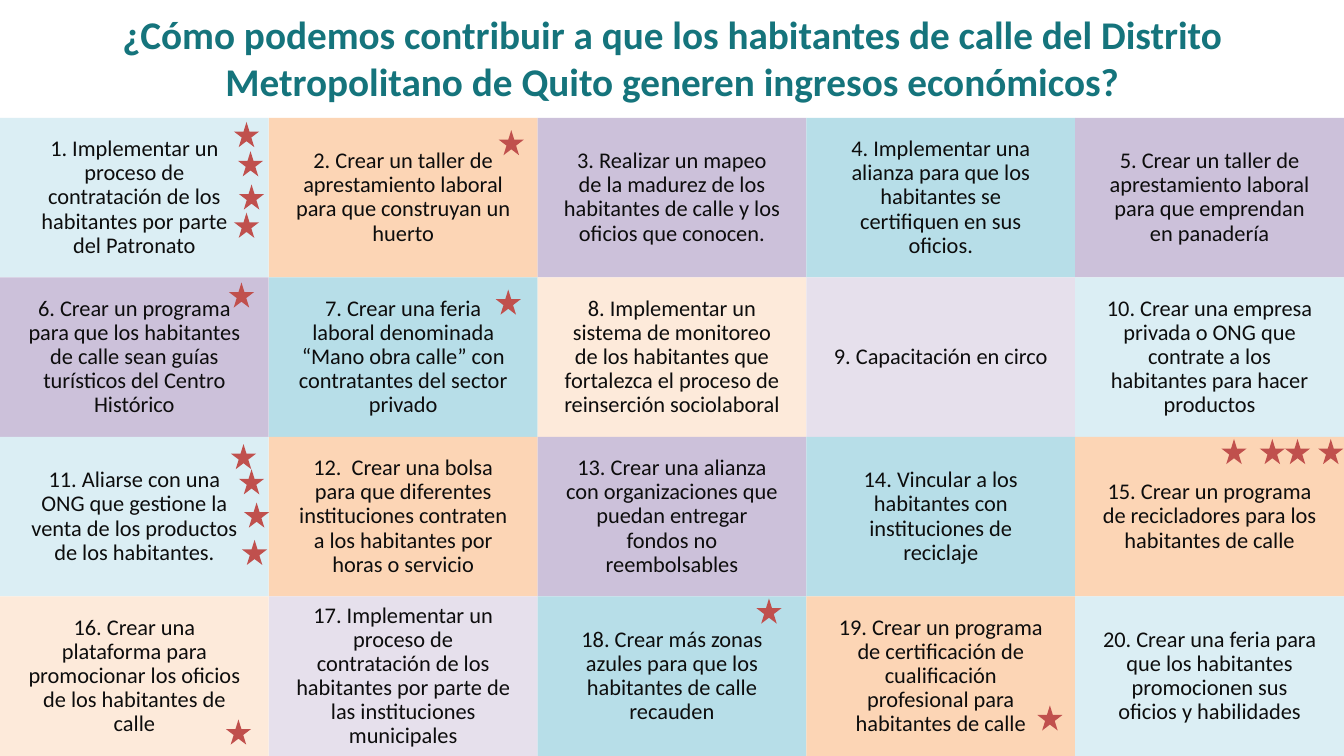
from pptx import Presentation
from pptx.dml.color import RGBColor
from pptx.enum import shapes, text
from pptx.util import Inches, Pt

TEAL = RGBColor(0x15, 0x74, 0x7C)
INK = RGBColor(0x0D, 0x0D, 0x0D)
RED = RGBColor(0xC0, 0x50, 0x4D)
ICE = RGBColor(0xDB, 0xEE, 0xF4)
BLUE = RGBColor(0xB7, 0xDE, 0xE8)
PEACH = RGBColor(0xFC, 0xD5, 0xB5)
CREAM = RGBColor(0xFD, 0xEA, 0xDA)
PURPLE = RGBColor(0xCC, 0xC1, 0xDA)
LILAC = RGBColor(0xE6, 0xE0, 0xEC)

FONT = "Calibri"
WIDTH, HEIGHT = 13.33, 7.5
GRID_TOP = 1.17
COLUMNS, ROWS = 5, 4
STAR_SIZE = 0.25

TITLE = ("¿Cómo podemos contribuir a que los habitantes de calle del Distrito "
         "Metropolitano de Quito generen ingresos económicos?")

# Ideas in reading order: colour and wording
IDEAS = [
    (ICE, "1. Implementar un proceso de contratación de los habitantes por parte del Patronato"),
    (PEACH, "2. Crear un taller de aprestamiento laboral para que construyan un huerto"),
    (PURPLE, "3. Realizar un mapeo de la madurez de los habitantes de calle y los oficios que conocen."),
    (BLUE, "4. Implementar una alianza para que los habitantes se certifiquen en sus oficios."),
    (PURPLE, "5. Crear un taller de aprestamiento laboral para que emprendan en panadería"),
    (PURPLE, "6. Crear un programa para que los habitantes de calle sean guías turísticos del Centro Histórico"),
    (BLUE, "7. Crear una feria laboral denominada “Mano obra calle” con contratantes del sector privado"),
    (CREAM, "8. Implementar un sistema de monitoreo de los habitantes que fortalezca el proceso de "
            "reinserción sociolaboral"),
    (LILAC, "9. Capacitación en circo"),
    (ICE, "10. Crear una empresa privada o ONG que contrate a los habitantes para hacer productos"),
    (ICE, "11. Aliarse con una ONG que gestione la venta de los productos de los habitantes."),
    (PEACH, "12.  Crear una bolsa para que diferentes instituciones contraten a los habitantes por "
            "horas o servicio"),
    (PURPLE, "13. Crear una alianza con organizaciones que puedan entregar fondos no reembolsables"),
    (BLUE, "14. Vincular a los habitantes con instituciones de reciclaje"),
    (PEACH, "15. Crear un programa de recicladores para los habitantes de calle"),
    (CREAM, "16. Crear una plataforma para promocionar los oficios de los habitantes de calle"),
    (LILAC, "17. Implementar un proceso de contratación de los habitantes por parte de las "
            "instituciones municipales"),
    (BLUE, "18. Crear más zonas azules para que los habitantes de calle recauden"),
    (PEACH, "19. Crear un programa de certificación de cualificación profesional para habitantes de calle"),
    (ICE, "20. Crear una feria para que los habitantes promocionen sus oficios y habilidades"),
]

# Votes: idea number -> star offsets from the corner of its cell
VOTES = {
    1: [(2.32, 0.04), (2.36, 0.33), (2.37, 0.66), (2.32, 0.94)],
    2: [(2.28, 0.12)],
    6: [(2.27, 0.05)],
    7: [(2.25, 0.12)],
    11: [(2.29, 0.07), (2.37, 0.32), (2.42, 0.65), (2.4, 1.02)],
    15: [(1.45, 0.02), (1.83, 0.02), (2.08, 0.02), (2.41, 0.02)],
    16: [(2.24, 1.22)],
    18: [(2.17, 0.02)],
    19: [(2.29, 1.08)],
}


def write_text(shape, wording, size, color, bold=False):
    frame = shape.text_frame
    frame.word_wrap = True
    frame.vertical_anchor = text.MSO_ANCHOR.MIDDLE
    frame.text = wording
    paragraph = frame.paragraphs[0]
    paragraph.alignment = text.PP_ALIGN.CENTER
    font = paragraph.runs[0].font
    font.name, font.size, font.bold = FONT, Pt(size), bold
    font.color.rgb = color
    return paragraph


def set_margins(frame, left, top, right, bottom):
    frame.margin_left, frame.margin_top = Inches(left), Inches(top)
    frame.margin_right, frame.margin_bottom = Inches(right), Inches(bottom)


def add_filled(slide, preset, left, top, width, height, color):
    shape = slide.shapes.add_shape(
        preset, Inches(left), Inches(top), Inches(width), Inches(height))
    shape.shadow.inherit = False
    shape.fill.solid()
    shape.fill.fore_color.rgb = color
    shape.line.fill.background()
    return shape


def add_title(slide, left, top, width, height):
    box = slide.shapes.add_textbox(
        Inches(left), Inches(top), Inches(width), Inches(height))
    set_margins(box.text_frame, 0, 0.18, 0, 0)
    write_text(box, TITLE, 28, TEAL, bold=True)


def add_idea(slide, left, top, width, height, color, wording):
    cell = add_filled(slide, shapes.MSO_SHAPE.RECTANGLE, left, top, width, height, color)
    set_margins(cell.text_frame, 0.26, 0.26, 0.26, 0.26)
    write_text(cell, wording, 16, INK).line_spacing = 0.9


def add_votes(slide, left, top, offsets):
    for across, down in offsets:
        add_filled(slide, shapes.MSO_SHAPE.STAR_5_POINT, left + across, top + down,
                   STAR_SIZE, STAR_SIZE, RED)


def add_idea_grid(slide, left, top, width, height):
    cell_width, cell_height = width / COLUMNS, height / ROWS
    corners = [(left + column * cell_width, top + row * cell_height)
               for row in range(ROWS) for column in range(COLUMNS)]
    for corner, idea in zip(corners, IDEAS):
        add_idea(slide, *corner, cell_width, cell_height, *idea)
    # Stars lie above every cell
    for number, offsets in VOTES.items():
        add_votes(slide, *corners[number - 1], offsets)


def main():
    presentation = Presentation()
    presentation.slide_width = Inches(WIDTH)
    presentation.slide_height = Inches(HEIGHT)
    slide = presentation.slides.add_slide(presentation.slide_layouts[6])
    add_title(slide, 0.16, -0.08, 13.01, 1.12)
    add_idea_grid(slide, 0, GRID_TOP, WIDTH, HEIGHT - GRID_TOP)
    presentation.save("out.pptx")


if __name__ == "__main__":
    main()
